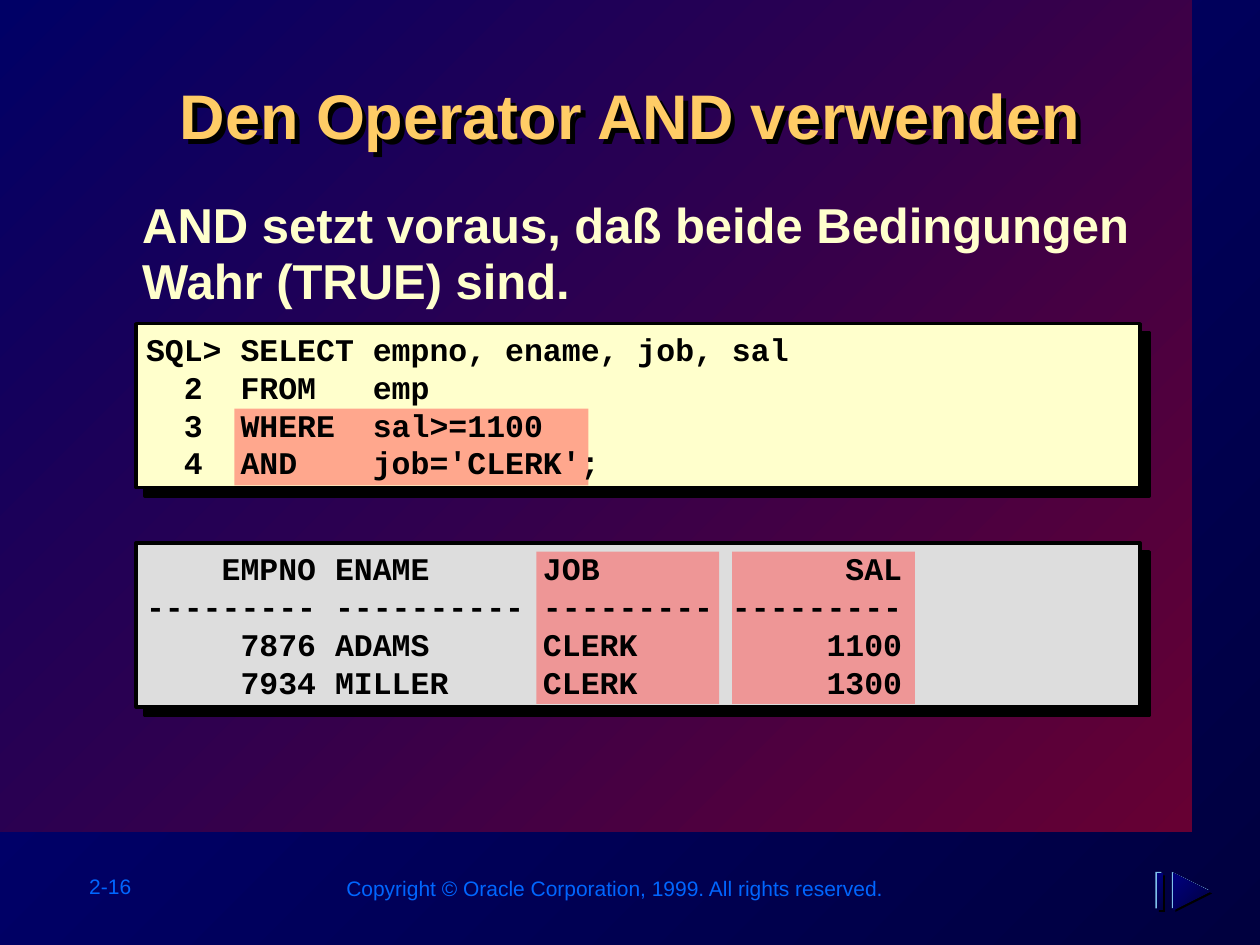
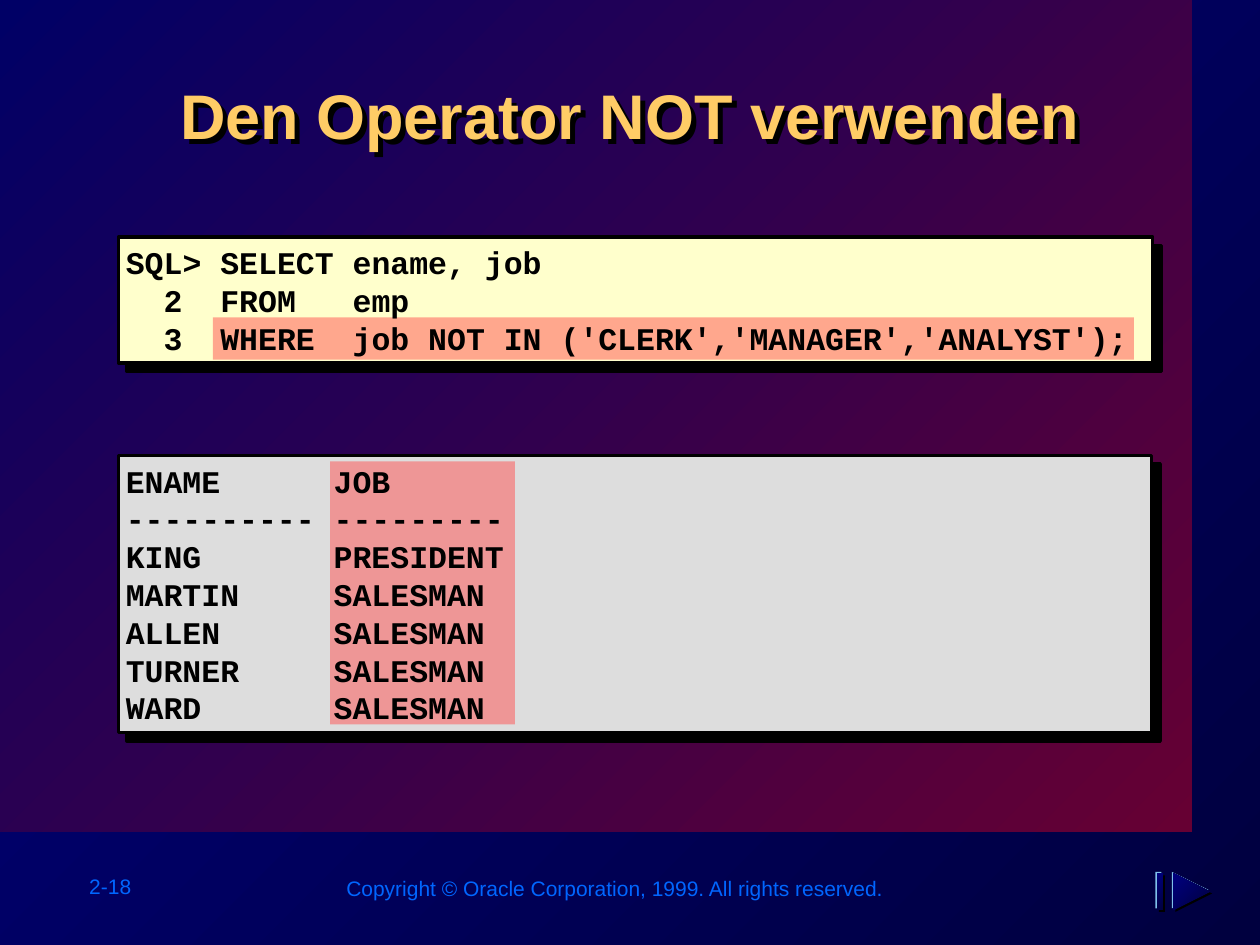
"""Build two SQL training slides on the AND and NOT operators."""
from dataclasses import dataclass

from lxml.etree import SubElement
from pptx import Presentation
from pptx.dml.color import RGBColor
from pptx.enum.shapes import MSO_SHAPE
from pptx.enum.text import MSO_ANCHOR, PP_ALIGN
from pptx.oxml.ns import qn
from pptx.util import Pt


@dataclass(frozen=True)
class Theme:
    backdrop: tuple = ("00003F", "000080")
    band: tuple = ("660033", "000066")
    title: str = "FFCC66"
    body: str = "FFFFCC"
    footer: str = "0066FF"
    query: str = "FFFFCC"
    result: str = "DDDDDD"
    highlight: str = "FF5050"
    black: str = "000000"
    icon_edge: str = "7FC1EB"
    sans: str = "Arial"
    mono: str = "Courier New"
    title_size: int = 36
    body_size: int = 28
    code_size: int = 18
    footer_size: int = 12


theme = Theme()
copyright_line = "Copyright © Oracle Corporation, 1999. All rights reserved."

slides = [
    {
        "number": "2-16",
        "title": "Den Operator AND verwenden",
        "body": "AND setzt voraus, daß beide Bedingungen\vWahr (TRUE) sind.",
        "code_shift": -1.4,
        "panels": [
            (theme.query, (77.8, 185, 573.8, 93.6), [
                "SQL> SELECT empno, ename, job, sal",
                "  2  FROM   emp",
                "  3  WHERE  sal>=1100",
                "  4  AND    job='CLERK';",
            ]),
            (theme.result, (77.8, 310.3, 573.8, 93.6), [
                "    EMPNO ENAME      JOB             SAL",
                "--------- ---------- --------- ---------",
                "     7876 ADAMS      CLERK          1100",
                "     7934 MILLER     CLERK          1300",
            ]),
        ],
        "highlights": [(133.9, 233.5, 202.3, 43.9), (306.5, 315.2, 104.4, 87),
                       (418.4, 315.2, 104.4, 87)],
    },
    {
        "number": "2-18",
        "title": "Den Operator NOT verwenden",
        "body": None,
        "code_shift": -2.9,
        "panels": [
            (theme.query, (67.7, 135.4, 591, 72), [
                "SQL> SELECT ename, job",
                "  2  FROM   emp",
                "  3  WHERE  job NOT IN ('CLERK','MANAGER','ANALYST');",
            ]),
            (theme.result, (67.7, 260.2, 590.4, 158.4), [
                "ENAME      JOB",
                "---------- ---------",
                "KING       PRESIDENT",
                "MARTIN     SALESMAN",
                "ALLEN      SALESMAN",
                "TURNER     SALESMAN",
                "WARD       SALESMAN",
            ]),
        ],
        "highlights": [(121.7, 181.3, 526.3, 24.3), (188.6, 263.7, 105.6, 150.3)],
    },
]


def cast_shadow(shape, distance):
    shape.shadow.inherit = False
    effects = shape._element.spPr.find(qn("a:effectLst"))
    shadow = SubElement(effects, qn("a:outerShdw"), dist=str(Pt(distance)),
                        dir="2700000", algn="ctr", rotWithShape="0")
    SubElement(shadow, qn("a:srgbClr"), val=theme.black)


def add_text(slide, box, lines, size, color, font=theme.sans, bold=False, wrap=False):
    shape = slide.shapes.add_textbox(*map(Pt, box))
    frame = shape.text_frame
    frame.word_wrap = wrap
    frame.text = "\n".join(lines)
    for paragraph in frame.paragraphs:
        paragraph.font.name = font
        paragraph.font.size = Pt(size)
        paragraph.font.bold = bold
        paragraph.font.color.rgb = RGBColor.from_string(color)
    return shape


presentation = Presentation()
presentation.slide_width = Pt(720)
presentation.slide_height = Pt(540)

for content in slides:
    slide = presentation.slides.add_slide(presentation.slide_layouts[6])
    gradients = [(slide.background.fill, theme.backdrop)]

    band = slide.shapes.add_shape(MSO_SHAPE.RECTANGLE, 0, 0, Pt(681.1), Pt(475.4))
    band.shadow.inherit = False
    band.line.fill.background()
    gradients.append((band.fill, theme.band))

    add_text(slide, (43.9, 495.4, 79.9, 21.6), [content["number"]],
             theme.footer_size, theme.footer)
    add_text(slide, (190.8, 496.8, 322.6, 21.6), [copyright_line],
             theme.footer_size, theme.footer)

    for color, box, lines in content["panels"]:
        panel = slide.shapes.add_shape(MSO_SHAPE.RECTANGLE, *map(Pt, box))
        panel.fill.solid()
        panel.fill.fore_color.rgb = RGBColor.from_string(color)
        panel.line.color.rgb = RGBColor.from_string(theme.black)
        panel.line.width = Pt(2)
        cast_shadow(panel, 7.1)

    title = add_text(slide, (72.7, 40.3, 574.6, 69.1), [content["title"]],
                     theme.title_size, theme.title, bold=True, wrap=True)
    title.text_frame.paragraphs[0].alignment = PP_ALIGN.CENTER
    cast_shadow(title, 4)

    if content["body"]:
        body = add_text(slide, (74.2, 110.2, 586.1, 71.3), [content["body"]],
                        theme.body_size, theme.body, bold=True)
        body.text_frame.paragraphs[0].line_spacing = 0.95

    for box in content["highlights"]:
        highlight = slide.shapes.add_shape(MSO_SHAPE.RECTANGLE, *map(Pt, box))
        highlight.shadow.inherit = False
        highlight.line.fill.background()
        highlight.fill.solid()
        highlight.fill.fore_color.rgb = RGBColor.from_string(theme.highlight)
        fill_color = next(highlight._element.spPr.iter(qn("a:srgbClr")))
        SubElement(fill_color, qn("a:alpha"), val="50000")

    for color, (left, top, width, height), lines in content["panels"]:
        code = add_text(slide, (left + content["code_shift"], top, width, height), lines,
                        theme.code_size, theme.black, theme.mono, bold=True, wrap=True)
        code.text_frame.vertical_anchor = MSO_ANCHOR.MIDDLE

    for offset, color in [(2, theme.black), (0, theme.icon_edge), (0.9, None)]:
        top = 498.2 + offset
        bar = slide.shapes.add_shape(MSO_SHAPE.RECTANGLE, Pt(660.3 + offset), Pt(top),
                                     Pt(3.4), Pt(20.9))
        left = 669.6 + offset
        builder = slide.shapes.build_freeform(Pt(left + 21), Pt(top + 10.4))
        builder.add_line_segments([(Pt(left), Pt(top)), (Pt(left), Pt(top + 20.9))])
        arrow = builder.convert_to_shape()
        for shape in (bar, arrow):
            shape.shadow.inherit = False
            shape.line.fill.background()
            if color:
                shape.fill.solid()
                shape.fill.fore_color.rgb = RGBColor.from_string(color)
            else:
                gradients.append((shape.fill, theme.backdrop))

    for fill, colors in gradients:
        fill.gradient()
        fill.gradient_angle = 135
        for stop, color in zip(fill.gradient_stops, colors):
            stop.color.rgb = RGBColor.from_string(color)

presentation.save("out.pptx")
